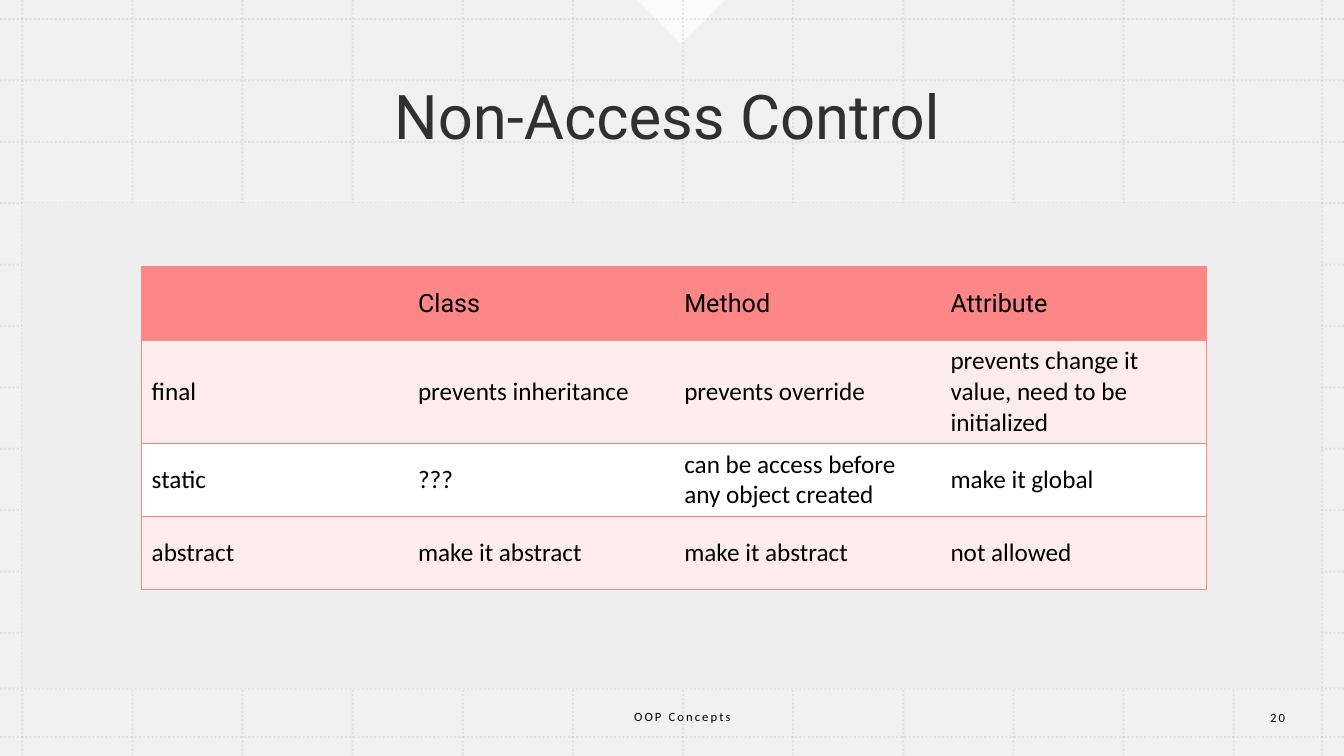
from dataclasses import dataclass

from lxml.etree import SubElement
from pptx import Presentation
from pptx.dml.color import RGBColor
from pptx.enum.dml import MSO_LINE
from pptx.enum.shapes import MSO_CONNECTOR, MSO_SHAPE
from pptx.enum.text import MSO_ANCHOR, PP_ALIGN
from pptx.oxml import parse_xml
from pptx.oxml.ns import nsdecls, qn
from pptx.util import Cm, Pt


@dataclass(frozen=True)
class Theme:
    panel: str = "EEEEEE"
    white: str = "FFFFFF"
    grid: str = "B495C2"
    text: str = "000000"
    accent: str = "FD8686"
    band: str = "FFEDED"
    heading_font: str = "Roboto"
    body_font: str = "Calibri"
    title_size: int = 44
    table_size: int = 18
    footer_size: int = 9


THEME = Theme()
WIDTH, HEIGHT = 33.87, 19.05

# Dotted grid: evenly spaced lines, then the closing ones near the far edges
GRID_X = [0.56 + i * 30.53 / 11 for i in range(12)] + [33.32]
GRID_Y = [0.48 + i * 15.47 / 10 for i in range(11)] + [17.35, 18.57]

ROWS = [
    ["", "Class", "Method", "Attribute"],
    ["final", "prevents inheritance", "prevents override",
     "prevents change it value, need to be initialized"],
    ["static", "???", "can be access before any object created", "make it global"],
    ["abstract", "make it abstract", "make it abstract", "not allowed"],
]
ROW_HEIGHTS = [1.84, 2.6, 1.84, 1.84]
COLUMN_WIDTH = 6.71


def set_alpha(fill_parent, percent):
    """Make the solid colour found under an element partly transparent."""
    color = next(fill_parent.iter(qn("a:srgbClr")))
    SubElement(color, qn("a:alpha")).set("val", str(percent * 1000))


def add_block(s, kind, left, top, width, height, color, alpha=100, rotation=0):
    sp = s.shapes.add_shape(kind, Cm(left), Cm(top), Cm(width), Cm(height))
    sp.shadow.inherit = False
    sp.rotation = rotation
    sp.fill.solid()
    sp.fill.fore_color.rgb = RGBColor.from_string(color)
    sp.line.fill.background()
    if alpha < 100:
        set_alpha(sp.fill._xPr, alpha)


def add_grid_line(s, x1, y1, x2, y2):
    line = s.shapes.add_connector(
        MSO_CONNECTOR.STRAIGHT, Cm(x1), Cm(y1), Cm(x2), Cm(y2))
    line.line.color.rgb = RGBColor.from_string(THEME.grid)
    line.line.width = Pt(1.5)
    line.line.dash_style = MSO_LINE.ROUND_DOT
    sp_pr = line._element.spPr
    set_alpha(sp_pr, 20)
    SubElement(sp_pr, qn("a:effectLst"))


def add_run(p, text, size, font):
    r = p.add_run()
    r.text = text
    r.font.size = Pt(size)
    r.font.name = font
    r.font.bold = False
    r.font.color.rgb = RGBColor.from_string(THEME.text)
    return r


def add_text(s, left, top, width, height, text, size, font):
    sp = s.shapes.add_textbox(Cm(left), Cm(top), Cm(width), Cm(height))
    tf = sp.text_frame
    tf.word_wrap = True
    tf.vertical_anchor = MSO_ANCHOR.MIDDLE
    p = tf.paragraphs[0]
    p.alignment = PP_ALIGN.CENTER
    return p, add_run(p, text, size, font)


def add_footer(s, left, top, width, text):
    _, r = add_text(s, left, top, width, 1.02, text,
                    THEME.footer_size, THEME.body_font)
    r._r.get_or_add_rPr().set("spc", "150")


def set_borders(cell, visible_sides):
    """Draw the given sides in the accent colour and hide the others."""
    tc_pr = cell._tc.get_or_add_tcPr()
    for i, side in enumerate("LRTB"):
        if side in visible_sides:
            fill = f'<a:solidFill><a:srgbClr val="{THEME.accent}"/></a:solidFill>'
        else:
            fill = "<a:noFill/>"
        tc_pr.insert(i, parse_xml(
            f'<a:ln{side} {nsdecls("a")} w="12700">{fill}</a:ln{side}>'))


def add_modifier_table(s, left, top):
    n_cols = len(ROWS[0])
    frame = s.shapes.add_table(len(ROWS), n_cols, Cm(left), Cm(top),
                               Cm(COLUMN_WIDTH * n_cols), Cm(sum(ROW_HEIGHTS)))
    table = frame.table
    table.first_row = table.horz_banding = False
    for column in table.columns:
        column.width = Cm(COLUMN_WIDTH)
    for i, texts in enumerate(ROWS):
        table.rows[i].height = Cm(ROW_HEIGHTS[i])
        fill = THEME.accent if i == 0 else THEME.band if i % 2 else THEME.white
        font = THEME.heading_font if i == 0 else THEME.body_font
        for j, text in enumerate(texts):
            cell = table.cell(i, j)
            cell.vertical_anchor = MSO_ANCHOR.MIDDLE
            cell.fill.solid()
            cell.fill.fore_color.rgb = RGBColor.from_string(fill)
            set_borders(cell, "TB" + "L" * (j == 0) + "R" * (j == n_cols - 1))
            if text:
                add_run(cell.text_frame.paragraphs[0], text, THEME.table_size, font)


def main():
    prs = Presentation()
    prs.slide_width, prs.slide_height = Cm(WIDTH), Cm(HEIGHT)
    s = prs.slides.add_slide(prs.slide_layouts[6])

    # Backdrop with the pointer at the top edge
    add_block(s, MSO_SHAPE.RECTANGLE, 0, 0, WIDTH, HEIGHT, THEME.panel, alpha=80)
    add_block(s, MSO_SHAPE.RIGHT_TRIANGLE, 16.38, -0.79, 1.57, 1.57,
              THEME.white, alpha=75, rotation=315)

    # Grid and content panel
    for x in GRID_X:
        add_grid_line(s, x, 0, x, HEIGHT)
    for y in GRID_Y:
        add_grid_line(s, 0, y, WIDTH, y)
    add_block(s, MSO_SHAPE.RECTANGLE, 0.56, 5.11, 32.74, 12.24, THEME.panel)

    # Title
    p, r = add_text(s, 0.84, 0.94, 31.95, 4.17, "Non-Access Control",
                    THEME.title_size, THEME.heading_font)
    p.line_spacing = 0.9
    set_alpha(r._r, 80)

    # Table and footer
    add_modifier_table(s, 3.57, 6.73)
    add_footer(s, 11.66, 17.55, 11.07, "OOP Concepts")
    add_footer(s, 31.09, 17.58, 2.21, "20")

    prs.save("out.pptx")


if __name__ == "__main__":
    main()
